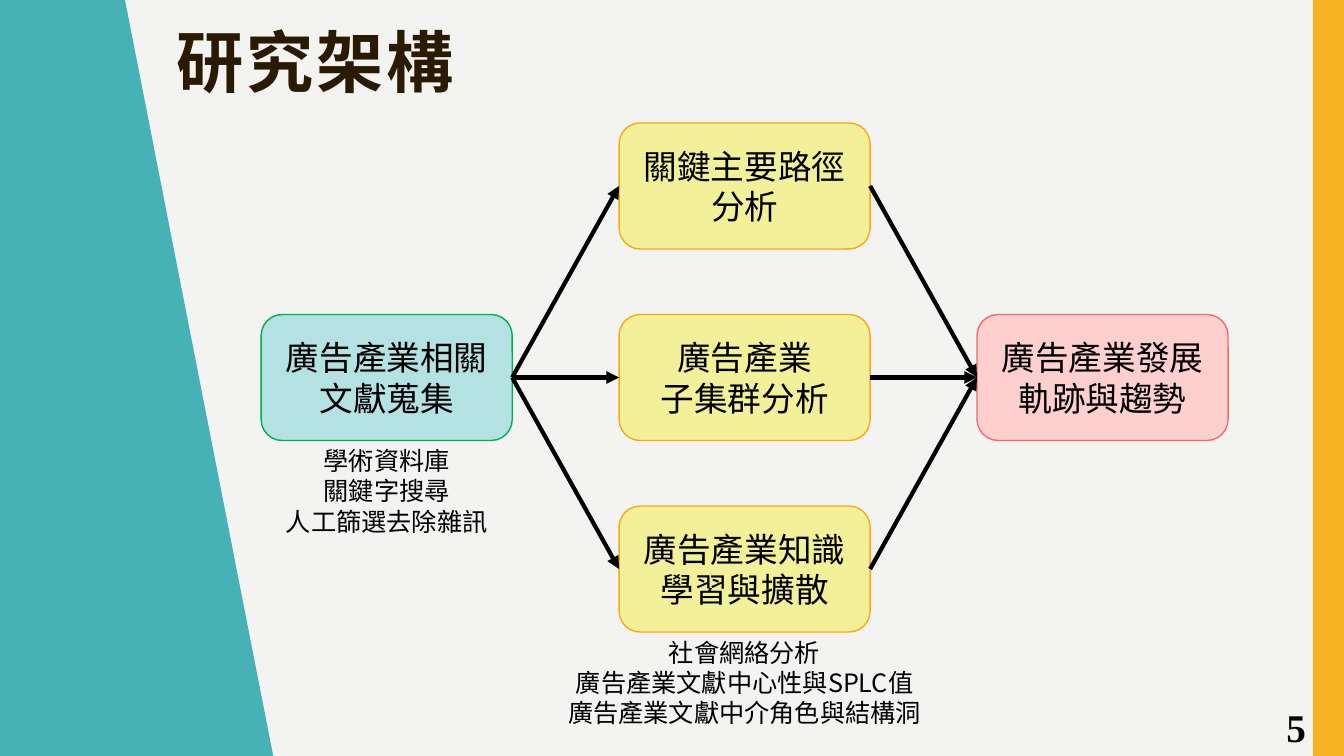
import pptx
import pptx.util
import pptx.dml.color
import pptx.enum.shapes
import pptx.enum.text
import pptx.oxml.ns
from lxml import etree

Inches, Pt = pptx.util.Inches, pptx.util.Pt
RGBColor = pptx.dml.color.RGBColor
MSO_SHAPE = pptx.enum.shapes.MSO_SHAPE
ALIGN = pptx.enum.text.PP_ALIGN
ANCHOR = pptx.enum.text.MSO_ANCHOR
qn = pptx.oxml.ns.qn

# Colours
BACKGROUND = RGBColor(0xF3, 0xF3, 0xF2)
TEAL = RGBColor(0x46, 0xB2, 0xB5)
AMBER = RGBColor(0xF8, 0xB3, 0x23)
BROWN = RGBColor(0x2A, 0x1A, 0x00)
BLACK = RGBColor(0, 0, 0)
COLLECT = (RGBColor(0xB4, 0xE1, 0xE2), RGBColor(0x00, 0xB0, 0x50))
ANALYSE = (RGBColor(0xF2, 0xF0, 0x98), RGBColor(0xFF, 0xA6, 0x15))
RESULT = (RGBColor(0xFD, 0xCF, 0xCF), RGBColor(0xF2, 0x6A, 0x6A))

# Content: each stage is (column, row, text, colours)
TITLE = "研究架構"
PAGE = "5"
SOURCE = (0, 1, "廣告產業相關文獻蒐集", COLLECT)
ANALYSES = [
    (1, 0, "關鍵主要路徑分析", ANALYSE),
    (1, 1, "廣告產業\n子集群分析", ANALYSE),
    (1, 2, "廣告產業知識學習與擴散", ANALYSE),
]
TREND = (2, 1, "廣告產業發展軌跡與趨勢", RESULT)
NOTES = [
    (SOURCE, 2.22, "學術資料庫\n關鍵字搜尋\n人工篩選去除雜訊"),
    (ANALYSES[2], 3.74,
     "社會網絡分析\n廣告產業文獻中心性與SPLC值\n廣告產業文獻中介角色與結構洞"),
]

# Layout in inches
SLIDE_W, SLIDE_H = 13.33, 7.5
STAGE_W, STAGE_H = 2.49, 1.25
LEFT, TOP = 2.59, 1.22
COLUMN_STEP, ROW_STEP = 3.55, 1.9

deck = pptx.Presentation()
deck.slide_width, deck.slide_height = Inches(SLIDE_W), Inches(SLIDE_H)
slide = deck.slides.add_slide(deck.slide_layouts[6])
slide.background.fill.solid()
slide.background.fill.fore_color.rgb = BACKGROUND


def corner(stage):
    return LEFT + stage[0] * COLUMN_STEP, TOP + stage[1] * ROW_STEP


def paint(shape, fill, line=None):
    shape.shadow.inherit = False
    shape.fill.solid()
    shape.fill.fore_color.rgb = fill
    if line is None:
        shape.line.fill.background()
    else:
        shape.line.color.rgb = line
        shape.line.width = Pt(1)


def write(shape, text, size, font, align=ALIGN.CENTER, color=BLACK, bold=False):
    frame = shape.text_frame
    frame.text = text
    for paragraph in frame.paragraphs:
        paragraph.alignment = align
        for run in paragraph.runs:
            run.font.size, run.font.name = Pt(size), font
            run.font.color.rgb, run.font.bold = color, bold
    return frame


def add_label(box, text, size, font, wrap=True, **style):
    label = slide.shapes.add_textbox(*map(Inches, box))
    frame = write(label, text, size, font, **style)
    frame.word_wrap = wrap
    return frame


def add_stage(stage):
    box = (*corner(stage), STAGE_W, STAGE_H)
    shape = slide.shapes.add_shape(MSO_SHAPE.ROUNDED_RECTANGLE, *map(Inches, box))
    paint(shape, *stage[3])
    frame = write(shape, stage[2], 24, "Arial")
    frame.word_wrap = True
    frame.vertical_anchor = ANCHOR.MIDDLE
    return shape


def add_arrow(start, end):
    arrow = slide.shapes.add_connector(
        pptx.enum.shapes.MSO_CONNECTOR.STRAIGHT, 0, 0, 0, 0)
    arrow.begin_connect(start, 3)
    arrow.end_connect(end, 1)
    arrow.line.color.rgb = BLACK
    arrow.line.width = Pt(3)
    etree.SubElement(arrow.line._get_or_add_ln(), qn("a:tailEnd"), type="triangle")
    etree.SubElement(arrow._element.spPr, qn("a:effectLst"))


# Side decoration, the slanted panel in hundredths of an inch
amber_bar = slide.shapes.add_shape(
    MSO_SHAPE.RECTANGLE, *map(Inches, (13.02, 0, 0.31, SLIDE_H)))
paint(amber_bar, AMBER)
teal_panel = slide.shapes.build_freeform(0, 0, scale=Inches(0.01))
teal_panel.add_line_segments([(124, 0), (271, 750), (0, 750)], close=True)
paint(teal_panel.convert_to_shape(), TEAL)

# Title and page number
title = add_label((1.65, 0.24, 5.73, 0.94), TITLE, 48, "Arial",
                  align=ALIGN.LEFT, color=BROWN, bold=True).paragraphs[0]
title.line_spacing = 0.9
title.runs[0].font._element.set("spc", "200")
add_label((12.66, 6.93, 0.47, 0.57), PAGE, 28, "Times New Roman",
          align=ALIGN.LEFT, bold=True)

# Stages and the arrows between them
source, trend = add_stage(SOURCE), add_stage(TREND)
for analysis in map(add_stage, ANALYSES):
    add_arrow(source, analysis)
    add_arrow(analysis, trend)

# Notes centred under their stage
for stage, width, text in NOTES:
    x, y = corner(stage)
    add_label((x + (STAGE_W - width) / 2, y + STAGE_H, width, 1.01),
              text, 18, "Noto Sans CJK SC", wrap=False)

deck.save("out.pptx")
